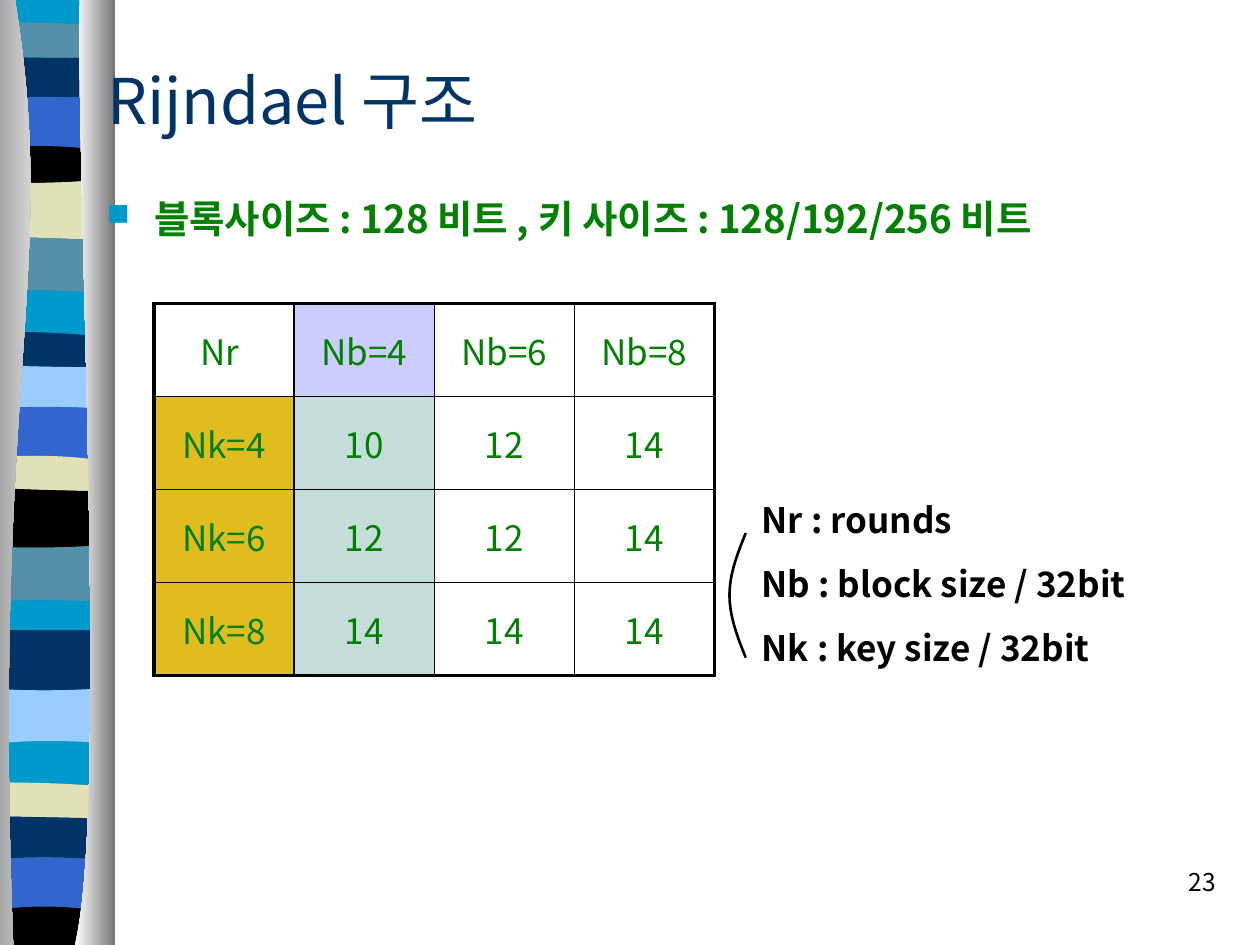
from lxml.etree import SubElement
from pptx import Presentation
from pptx.dml.color import RGBColor
from pptx.enum.text import MSO_ANCHOR, PP_ALIGN
from pptx.oxml.ns import qn
from pptx.util import Pt

FONT = "Noto Sans CJK KR"
COLORS = {
    "navy": "003366", "cyan": "0099CC", "steel": "5490A8", "sand": "E1E1B7",
    "black": "000000", "blue": "3366CC", "sky": "99CCFF", "white": "FFFFFF",
    "gray": "767676", "green": "008000", "gold": "E1BC1F",
    "lilac": "CCCCFF", "mint": "C5DDDA",
}
RIBBON_LEFT, RIBBON_RIGHT = -13.7, 64
BANDS = [
    ("cyan", (0, 0, 0)), ("steel", (13, 13, 16)), ("navy", (32, 33, 33)),
    ("blue", (55, 55.5, 56)), ("black", (86, 83.5, 87)), ("sand", (104, 104.5, 102)),
    ("steel", (135, 136, 138)), ("cyan", (167, 166, 168)), ("navy", (189, 190, 193)),
    ("sky", (208, 209.5, 210)), ("blue", (234, 232.5, 234)), ("sand", (262, 260.5, 264)),
    ("black", (278, 280, 281)), ("steel", (312, 313, 311)), ("cyan", (344, 343, 344)),
    ("navy", (360, 360, 360)), ("sky", (393, 394.5, 393)), ("cyan", (426, 423.5, 425)),
    ("sand", (447, 447.5, 450)), ("navy", (466, 467, 468)), ("blue", (492, 490, 492)),
    ("black", (522, 518, 522)),
]
SLIDE_BOTTOM = (540, 540, 540)
ROUNDS = [
    ["Nr ", "Nb=4", "Nb=6", "Nb=8"],
    ["Nk=4", "10", "12", "14"],
    ["Nk=6", "12", "12", "14"],
    ["Nk=8", "14", "14", "14"],
]
LEGEND = ["Nr : rounds", "Nb : block size / 32bit", "Nk : key size / 32bit"]


def rgb(name):
    return RGBColor.from_string(COLORS[name])


def wave(heights):
    left, middle, right = heights
    control = (4 * middle - (left + right) / 2) / 3
    third = (RIBBON_RIGHT - RIBBON_LEFT) / 3
    return [(RIBBON_LEFT + third * i, y)
            for i, y in enumerate((left, control, control, right))]


def add_outline(slide, points, curve_starts, close=True):
    emu = [(Pt(x), Pt(y)) for x, y in points]
    builder = slide.shapes.build_freeform(*emu[0], scale=1.0)
    builder.add_line_segments(emu[1:], close=close)
    outline = builder.convert_to_shape()
    outline.shadow.inherit = False
    segments = list(outline._element.iter(qn("a:lnTo")))
    for start in curve_starts:
        first, *others = segments[start:start + 3]
        first.tag = qn("a:cubicBezTo")
        for segment in others:
            first.append(segment[0])
            segment.getparent().remove(segment)
    return outline


def add_band(slide, color, top, bottom):
    curves = [start for start, edge in ((0, top), (4, bottom)) if len(set(edge)) > 1]
    upper, lower = ([edge[0], edge[-1]] if len(set(heights)) == 1 else edge
                    for heights, edge in ((top, wave(top)), (bottom, wave(bottom))))
    if 4 in curves:
        curves[-1] = len(upper)
    band = add_outline(slide, upper + lower[::-1], curves)
    band.fill.solid()
    band.fill.fore_color.rgb = rgb(color)
    band.line.fill.background()


def add_shade(slide, edge, side, start, end):
    shade = add_outline(slide, edge + [(side, 540), (side, 0)], [0])
    shade.fill.gradient()
    shade.fill.gradient_angle = 0
    for stop, color in zip(shade.fill.gradient_stops, (start, end)):
        stop.color.rgb = rgb(color)
    shade.line.fill.background()


def add_ribbon(slide):
    add_band(slide, "cyan", BANDS[0][1], SLIDE_BOTTOM)
    bottoms = [top for _, top in BANDS[1:]] + [SLIDE_BOTTOM]
    for (color, top), bottom in zip(BANDS, bottoms):
        if color != "cyan":
            add_band(slide, color, top, bottom)
    add_shade(slide, [(8.6, 0), (34, 156), (-5, 213), (7.6, 540)], -18, "gray", "white")
    add_shade(slide, [(45.7, 0), (43, 90), (62.5, 466), (42.7, 540)], 65.7, "white", "gray")


def add_run(paragraph, text, size, color, bold=False):
    run = paragraph.add_run()
    run.text = text
    run.font.size = Pt(size)
    run.font.bold = bold
    run.font.name = FONT
    run.font.color.rgb = rgb(color)
    SubElement(run.font._element, qn("a:ea"), typeface=FONT)


def add_text(slide, box, lines, size, color, bold=False, align=PP_ALIGN.LEFT, gap=0):
    frame = slide.shapes.add_textbox(*map(Pt, box)).text_frame
    frame.word_wrap = True
    for index, line in enumerate(lines):
        paragraph = frame.add_paragraph() if index else frame.paragraphs[0]
        paragraph.alignment = align
        if index:
            paragraph.space_before = Pt(gap)
        add_run(paragraph, line, size, color, bold)
    return frame


def add_bullet(paragraph, color):
    properties = paragraph._p.get_or_add_pPr()
    properties.set("marL", str(Pt(27)))
    properties.set("indent", str(Pt(-27)))
    tint = SubElement(properties, qn("a:buClr"))
    SubElement(tint, qn("a:srgbClr"), val=COLORS[color])
    SubElement(properties, qn("a:buSzPct"), val="80000")
    SubElement(properties, qn("a:buChar"), char="■")


def set_title(slide, text):
    title = slide.shapes.title
    title.left, title.top, title.width, title.height = map(Pt, (54, 12, 612, 90))
    title.text_frame.vertical_anchor = MSO_ANCHOR.MIDDLE
    paragraph = title.text_frame.paragraphs[0]
    paragraph.alignment = PP_ALIGN.LEFT
    add_run(paragraph, text, 36, "navy")


def set_borders(cell, outer_sides):
    properties = cell._tc.get_or_add_tcPr()
    for index, side in enumerate(("lnL", "lnR", "lnT", "lnB")):
        width = Pt(2.25) if side in outer_sides else Pt(1)
        border = SubElement(properties, qn("a:" + side), w=str(width))
        fill = SubElement(border, qn("a:solidFill"))
        SubElement(fill, qn("a:srgbClr"), val=COLORS["black"])
        properties.remove(border)
        properties.insert(index, border)


def cell_color(row, column):
    if column == 0 and row:
        return "gold"
    if column == 1:
        return "mint" if row else "lilac"
    return None


def add_rounds_table(slide):
    last = len(ROUNDS) - 1
    frame = slide.shapes.add_table(4, 4, Pt(88), Pt(173.5), Pt(320.4), Pt(212.4))
    table = frame.table
    table.first_row = table.horz_banding = False
    for r, values in enumerate(ROUNDS):
        table.rows[r].height = Pt(53.1)
        table.columns[r].width = Pt(80.1)
        for c, value in enumerate(values):
            cell = table.cell(r, c)
            cell.vertical_anchor = MSO_ANCHOR.MIDDLE
            color = cell_color(r, c)
            if color:
                cell.fill.solid()
                cell.fill.fore_color.rgb = rgb(color)
            else:
                cell.fill.background()
            edges = {"lnL": c == 0, "lnR": c == last, "lnT": r == 0, "lnB": r == last}
            set_borders(cell, [side for side, outer in edges.items() if outer])
            paragraph = cell.text_frame.paragraphs[0]
            paragraph.alignment = PP_ALIGN.CENTER
            add_run(paragraph, value, 20, "green")


def add_bracket(slide):
    arc = [(426.2, 304.6), (421.2, 316.8), (416.9, 328.3), (416.9, 340),
           (416.9, 352), (421.2, 363.6), (426.2, 375.8)]
    bracket = add_outline(slide, arc, [0, 3], close=False)
    bracket.fill.background()
    bracket.line.color.rgb = rgb("black")
    bracket.line.width = Pt(1.5)


def main():
    deck = Presentation()
    deck.slide_width, deck.slide_height = Pt(720), Pt(540)
    slide = deck.slides.add_slide(deck.slide_layouts[5])
    add_ribbon(slide)
    title = slide.shapes.title._element
    title.getparent().append(title)
    set_title(slide, "Rijndael 구조")
    sizes = add_text(slide, (54, 108, 612, 366),
                     ["블록사이즈 : 128 비트 , 키 사이즈 : 128/192/256 비트"], 22, "green", True)
    add_bullet(sizes.paragraphs[0], "cyan")
    add_rounds_table(slide)
    add_text(slide, (428.2, 281.5, 266.4, 152.6), LEGEND, 20, "black", True, gap=12.5)
    add_bracket(slide)
    add_text(slide, (552, 492, 150, 36), ["23"], 14, "black", align=PP_ALIGN.RIGHT)
    deck.save("out.pptx")


if __name__ == "__main__":
    main()
